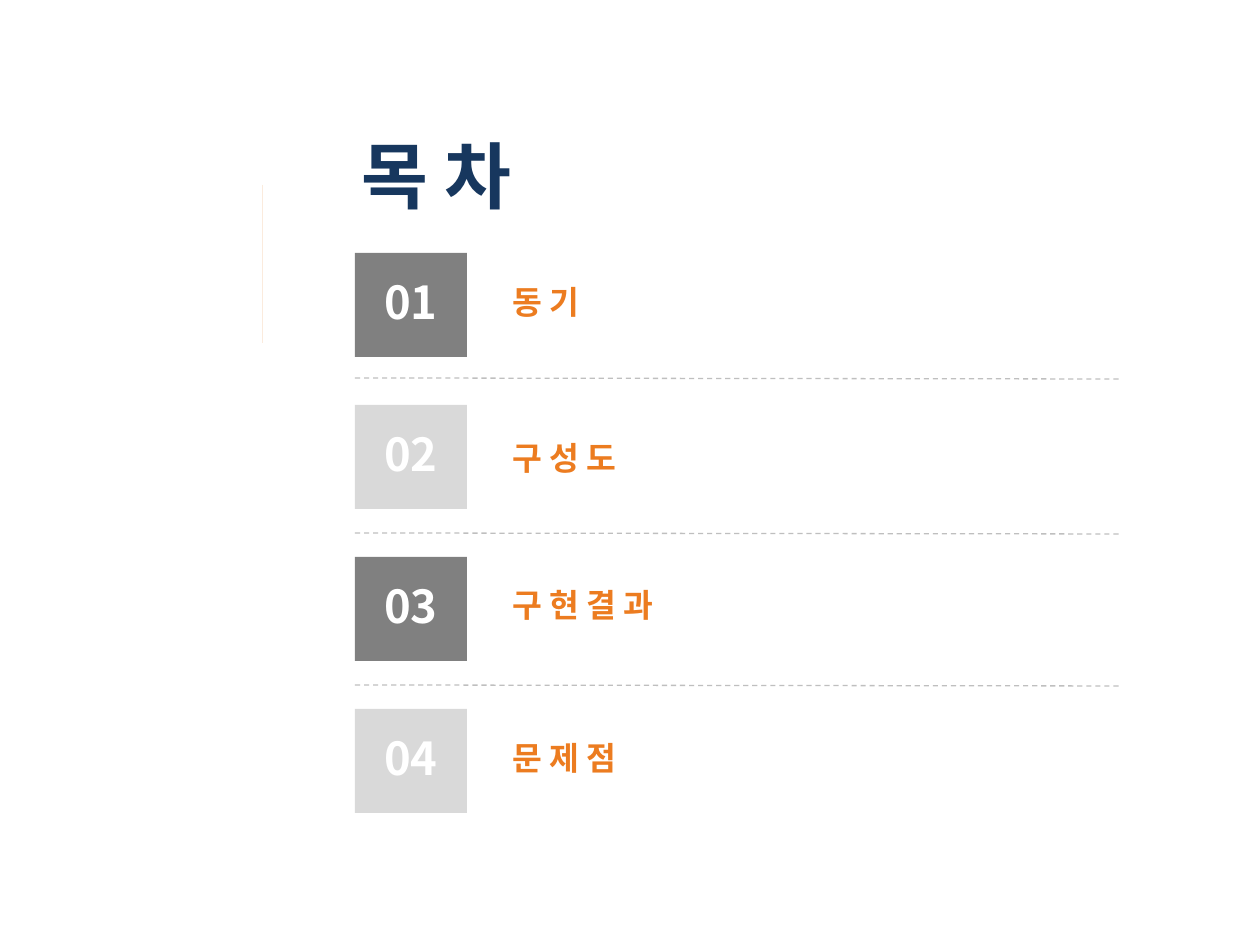
"""Builds a Korean table-of-contents slide with four numbered entries."""
import pptx
import pptx.util
import pptx.dml.color
import pptx.enum.dml
import pptx.enum.shapes
import pptx.enum.text
import pptx.oxml.ns
import lxml.etree

PX = 7257
FONT = "Noto Sans CJK KR"
NAVY, ORANGE, WHITE = "17375E", "EC7C20", "FFFFFF"
TILE_COLORS = ("808080", "D9D9D9")
RULE_COLOR, ACCENT_COLOR = "BFBFBF", "FBEBDD"

TITLE = "목 차"
ENTRIES = [("동 기", 280, 760), ("구 성 도", 436, 760), ("구 현 결 과", 583, 760), ("문 제 점", 736, 619)]
RULE_TOPS = [378, 533, 685]
LEFT, RIGHT, TILE_TOP, TILE_STEP = 355, 1119, 253, 152
TILE_WIDTH, TILE_HEIGHT = 112, 104
LABEL_LEFT, LABEL_HEIGHT = 500, 52


def color(value):
    return pptx.dml.color.RGBColor.from_string(value)


def box(*lengths):
    return [length * PX for length in lengths]


def write(shape, text, size, fill, align=pptx.enum.text.PP_ALIGN.LEFT,
          anchor=pptx.enum.text.MSO_ANCHOR.TOP):
    frame = shape.text_frame
    frame.word_wrap = True
    frame.auto_size = pptx.enum.text.MSO_AUTO_SIZE.NONE
    frame.vertical_anchor = anchor
    paragraph = frame.paragraphs[0]
    paragraph.alignment = align
    paragraph.line_spacing = 0.9
    run = paragraph.add_run()
    run.text = text
    run.font.size = pptx.util.Pt(size)
    run.font.bold = True
    run.font.color.rgb = color(fill)
    run.font.name = FONT
    east_asian = lxml.etree.SubElement(run.font._element, pptx.oxml.ns.qn("a:ea"))
    east_asian.set("typeface", FONT)


def add_line(slide, start, end, fill, width, dash=None):
    line = slide.shapes.add_connector(
        pptx.enum.shapes.MSO_CONNECTOR.STRAIGHT, *box(*start, *end))
    line.line.color.rgb = color(fill)
    line.line.width = pptx.util.Pt(width)
    if dash:
        line.line.dash_style = dash
    lxml.etree.SubElement(line._element.spPr, pptx.oxml.ns.qn("a:effectLst"))


def add_tile(slide, index):
    tile = slide.shapes.add_shape(
        pptx.enum.shapes.MSO_SHAPE.RECTANGLE,
        *box(LEFT, TILE_TOP + index * TILE_STEP, TILE_WIDTH, TILE_HEIGHT))
    tile.shadow.inherit = False
    tile.fill.solid()
    tile.fill.fore_color.rgb = color(TILE_COLORS[index % 2])
    tile.line.fill.background()
    write(tile, f"{index + 1:02}", 25.9, WHITE, pptx.enum.text.PP_ALIGN.CENTER,
          pptx.enum.text.MSO_ANCHOR.MIDDLE)


def main():
    presentation = pptx.Presentation()
    presentation.slide_width = pptx.util.Inches(10)
    presentation.slide_height = pptx.util.Inches(7.5)
    slide = presentation.slides.add_slide(presentation.slide_layouts[5])

    add_line(slide, (262, 185), (262, 343), ACCENT_COLOR, 0.5)
    title = slide.shapes.title
    title.left, title.top, title.width, title.height = box(349, 134, 793, 118)
    write(title, TITLE, 41.5, NAVY)

    for index, (label, top, width) in enumerate(ENTRIES):
        add_tile(slide, index)
        label_box = slide.shapes.add_textbox(*box(LABEL_LEFT, top, width, LABEL_HEIGHT))
        write(label_box, label, 18.5, ORANGE)
    for top in RULE_TOPS:
        add_line(slide, (LEFT, top), (RIGHT, top + 1), RULE_COLOR, 0.75,
                 pptx.enum.dml.MSO_LINE.DASH)

    presentation.save("out.pptx")


if __name__ == "__main__":
    main()
